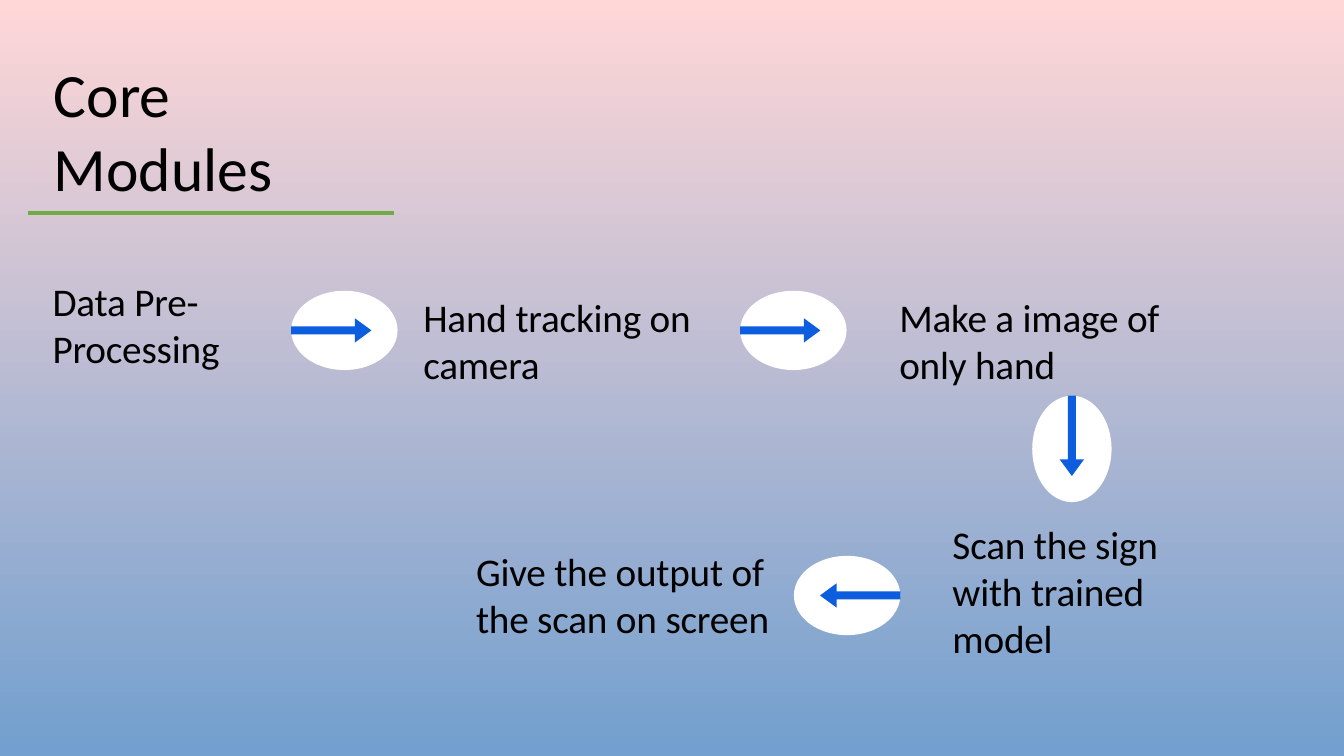
"""Builds the Core Modules slide: five processing steps joined by arrow badges."""
from lxml import etree
from pptx import Presentation
from pptx.dml.color import RGBColor
from pptx.enum.shapes import MSO_CONNECTOR, MSO_SHAPE
from pptx.oxml.ns import qn
from pptx.util import Pt

OVAL = MSO_SHAPE.OVAL
RIGHT_ARROW = MSO_SHAPE.RIGHT_ARROW
STRAIGHT = MSO_CONNECTOR.STRAIGHT

COLORS = {
    "sky_top": "FFD7D7",
    "sky_bottom": "729FCF",
    "text": "000000",
    "rule": "6FAC46",
    "badge": "FFFFFF",
    "arrow": "0D5DDF",
}
STEPS = [
    ("Data Pre-Processing", 28.2, 147.8, 113),
    ("Hand tracking on camera", 226.8, 156.2, 155.5),
    ("Make a image of only hand", 481.8, 156.2, 155.5),
    ("Scan the sign with trained model", 510.3, 277.8, 141.8),
    ("Give the output of the scan on screen", 255, 292.2, 170),
]
BADGES = [
    (184.5, 177, 0),
    (425, 177, 0),
    (574.2, 240.5, 90),
    (453.8, 319, 180),
]
BADGE_SIZE = (57, 42.5)
ARROW_SIZE = (43, 13)


def rgb(name):
    return RGBColor.from_string(COLORS[name])


def paint_background(slide):
    fill = slide.background.fill
    fill.gradient()
    fill.gradient_angle = 270
    for stop, position, name in zip(fill.gradient_stops, (0, 1), ("sky_top", "sky_bottom")):
        stop.position = position
        stop.color.rgb = rgb(name)


def add_text(slide, text, left, top, width, height=51, size=21, tracking=-10):
    box = slide.shapes.add_textbox(Pt(left), Pt(top), Pt(width), Pt(height))
    frame = box.text_frame
    frame.word_wrap = True
    frame.margin_left = frame.margin_right = frame.margin_bottom = 0
    frame.margin_top = Pt(1)
    run = frame.paragraphs[0].add_run()
    run.text = text
    run.font.name = "Calibri"
    run.font.size = Pt(size)
    run.font.color.rgb = rgb("text")
    run.font._element.set("spc", str(tracking))


def add_rule(slide, left, right, y):
    rule = slide.shapes.add_connector(STRAIGHT, Pt(left), Pt(y), Pt(right), Pt(y))
    rule.line.color.rgb = rgb("rule")
    rule.line.width = Pt(2.27)
    etree.SubElement(rule._element.spPr, qn("a:effectLst"))


def add_centred_shape(slide, kind, center_x, center_y, size, color, angle):
    width, height = size
    shape = slide.shapes.add_shape(
        kind, Pt(center_x - width / 2), Pt(center_y - height / 2), Pt(width), Pt(height))
    shape.rotation = angle
    shape.shadow.inherit = False
    shape.fill.solid()
    shape.fill.fore_color.rgb = rgb(color)
    shape.line.fill.background()
    return shape


def add_arrow_badge(slide, center_x, center_y, angle):
    """Draws an oval with an arrow whose tail starts on the oval's edge."""
    add_centred_shape(slide, OVAL, center_x, center_y, BADGE_SIZE, "badge", angle)
    setback = (BADGE_SIZE[0] - ARROW_SIZE[0]) / 2
    step_x, step_y = {0: (1, 0), 90: (0, 1), 180: (-1, 0)}[angle]
    arrow = add_centred_shape(
        slide, RIGHT_ARROW, center_x - setback * step_x, center_y - setback * step_y,
        ARROW_SIZE, "arrow", angle)
    arrow.adjustments[0] = 0.33
    arrow.adjustments[1] = 0.68


def main():
    deck = Presentation()
    deck.slide_width, deck.slide_height = Pt(720), Pt(405)
    slide = deck.slides.add_slide(deck.slide_layouts[6])
    paint_background(slide)
    add_text(slide, "Core Modules", 28.9, 28.8, 175, height=80, size=33, tracking=0)
    add_rule(slide, 15, 211, 114.3)
    for text, left, top, width in STEPS:
        add_text(slide, text, left, top, width)
    for center_x, center_y, angle in BADGES:
        add_arrow_badge(slide, center_x, center_y, angle)
    deck.save("out.pptx")


if __name__ == "__main__":
    main()
